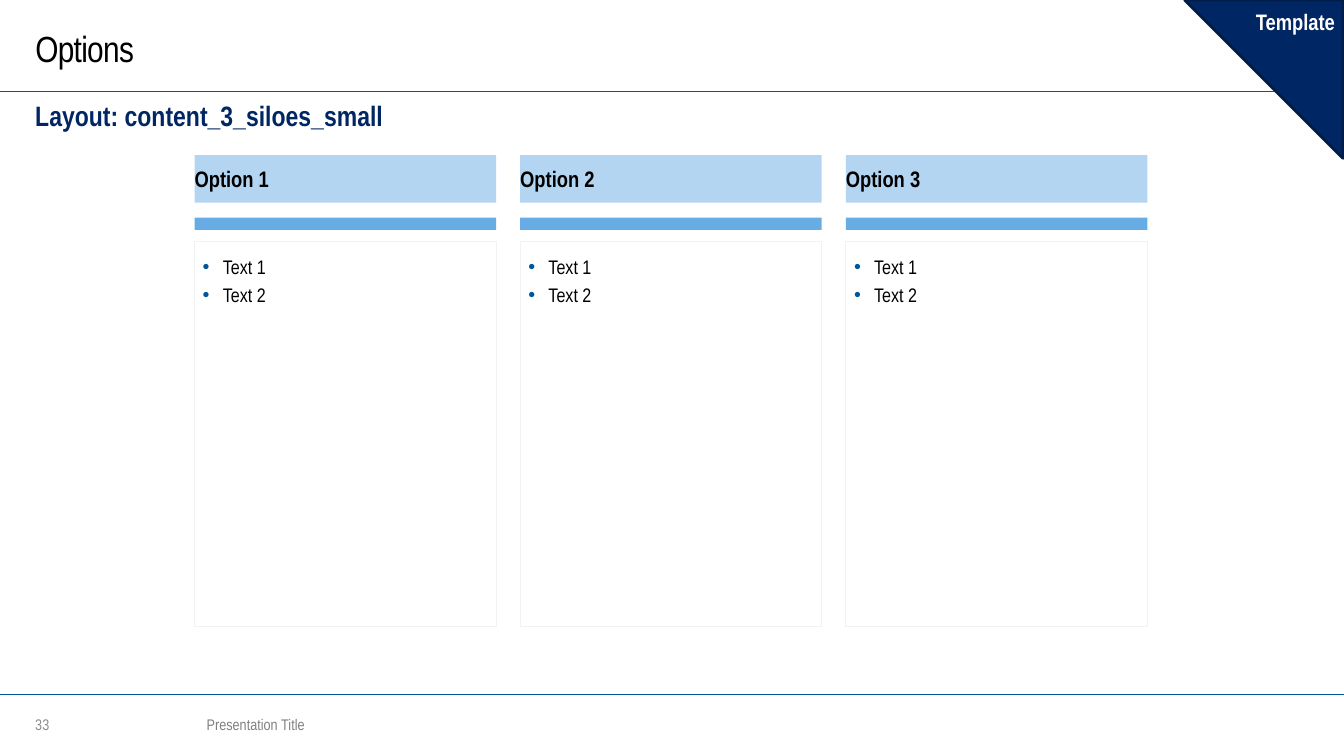
import dataclasses

import lxml.etree
import pptx
import pptx.dml.color
import pptx.enum.shapes
import pptx.enum.text
import pptx.oxml.ns
import pptx.util

Inches = pptx.util.Inches
Shapes = pptx.enum.shapes.MSO_SHAPE
Anchor = pptx.enum.text.MSO_ANCHOR
Align = pptx.enum.text.PP_ALIGN
qn = pptx.oxml.ns.qn


@dataclasses.dataclass(frozen=True)
class Theme:
    font: str = "Arial Narrow"
    black: str = "000000"
    white: str = "FFFFFF"
    navy: str = "002663"
    navy_edge: str = "001C49"
    rule: str = "00559B"
    bar: str = "68ACE5"
    header: str = "B3D5F2"
    panel_edge: str = "F2F2F2"
    page_number: str = "8C8C8C"
    footer: str = "808080"
    title_size: float = 26
    subtitle_size: float = 20
    heading_size: float = 16
    body_size: float = 14
    footer_size: float = 11


def rgb(color):
    return pptx.dml.color.RGBColor.from_string(color)


class SlideBuilder:
    def __init__(self, slide, theme):
        self.slide = slide
        self.theme = theme

    def rule(self, top, width):
        connector = self.slide.shapes.add_connector(
            pptx.enum.shapes.MSO_CONNECTOR.STRAIGHT,
            Inches(0), Inches(top), Inches(width), Inches(top))
        connector.line.color.rgb = rgb(self.theme.rule)
        connector.line.width = pptx.util.Pt(1)
        properties = connector._element.find(qn("p:spPr"))
        lxml.etree.SubElement(properties, qn("a:effectLst"))

    def box(self, place, fill=None, edge=None, edge_width=0.75, kind=Shapes.RECTANGLE):
        shape = self.slide.shapes.add_shape(kind, *map(Inches, place))
        shape.shadow.inherit = False
        if fill:
            shape.fill.solid()
            shape.fill.fore_color.rgb = rgb(fill)
        else:
            shape.fill.background()
        if edge:
            shape.line.color.rgb = rgb(edge)
            shape.line.width = pptx.util.Pt(edge_width)
        else:
            shape.line.fill.background()
        return shape

    def label(self, place, text, size, color, bold=False, anchor=Anchor.MIDDLE, spacing=0):
        shape = self.slide.shapes.add_textbox(*map(Inches, place))
        self.add_text(shape, [text], size, color, bold, anchor, spacing=spacing)

    def add_text(self, shape, lines, size, color, bold=False, anchor=Anchor.MIDDLE,
                 insets=(0, 0, 0, 0), align=Align.LEFT, bullets=False, spacing=0, wrap=True):
        frame = shape.text_frame
        frame.word_wrap = wrap
        frame.vertical_anchor = anchor
        (frame.margin_left, frame.margin_top,
         frame.margin_right, frame.margin_bottom) = map(Inches, insets)
        for index, line in enumerate(lines):
            paragraph = frame.add_paragraph() if index else frame.paragraphs[0]
            paragraph.alignment = align
            if bullets:
                self.bullet(paragraph)
            run = paragraph.add_run()
            run.text = line
            run.font.name = self.theme.font
            run.font.size = pptx.util.Pt(size)
            run.font.bold = bold
            run.font.color.rgb = rgb(color)
            if spacing:
                run._r.get_or_add_rPr().set("spc", str(int(spacing * 100)))

    def bullet(self, paragraph):
        paragraph.line_spacing = 1.2
        properties = paragraph._p.get_or_add_pPr()
        properties.set("marL", str(Inches(0.2)))
        properties.set("indent", str(Inches(-0.2)))
        bullet_color = lxml.etree.SubElement(properties, qn("a:buClr"))
        lxml.etree.SubElement(bullet_color, qn("a:srgbClr"), val=self.theme.rule)
        lxml.etree.SubElement(properties, qn("a:buFont"), typeface="Arial")
        lxml.etree.SubElement(properties, qn("a:buChar"), char="•")

    def silo(self, left, heading, items):
        theme, width = self.theme, 2.99
        self.box((left, 2.16, width, 0.12), fill=theme.bar)
        panel = self.box((left, 2.4, width, 3.82), edge=theme.panel_edge)
        self.add_text(panel, items, theme.body_size, theme.black, anchor=Anchor.TOP,
                      insets=(0.08, 0.08, 0, 0), bullets=True)
        header = self.box((left, 1.54, width, 0.47), fill=theme.header)
        self.add_text(header, [heading], theme.heading_size, theme.black, bold=True)

    def corner(self, place, text):
        theme = self.theme
        shape = self.box(place, theme.navy, theme.navy_edge, 2, Shapes.ISOSCELES_TRIANGLE)
        shape.adjustments[0] = 1.0
        shape.rotation = 270
        self.add_text(shape, [text], theme.heading_size, theme.white, bold=True,
                      anchor=Anchor.TOP, insets=(0.08,) * 4, align=Align.RIGHT, wrap=False)
        # Vertical text cancels the rotation, so the word reads level
        shape.text_frame._txBody.find(qn("a:bodyPr")).set("vert", "vert")


def main():
    theme = Theme()
    presentation = pptx.Presentation()
    presentation.slide_width = Inches(13.33)
    presentation.slide_height = Inches(7.5)
    slide = presentation.slides.add_slide(presentation.slide_layouts[6])
    builder = SlideBuilder(slide, theme)

    # Rules above the footer and below the title
    for top in (6.89, 0.91):
        builder.rule(top, 13.33)

    # Title, subtitle and footer
    builder.label((0.35, 0.04, 9.72, 0.87), "Options",
                  theme.title_size, theme.black, spacing=-0.5)
    builder.label((0.35, 0.98, 12.6, 0.34), "Layout: content_3_siloes_small",
                  theme.subtitle_size, theme.navy, bold=True, anchor=Anchor.TOP)
    builder.label((0.35, 7.05, 0.37, 0.28), "33", theme.footer_size, theme.page_number)
    builder.label((2.05, 7.05, 6.82, 0.28), "Presentation Title",
                  theme.footer_size, theme.footer)

    # Three option columns
    for column in range(3):
        builder.silo(1.93 + column * 3.23, f"Option {column + 1}", ["Text 1", "Text 2"])

    # Corner flag
    builder.corner((11.75, 0, 1.57, 1.57), "Template")

    presentation.save("out.pptx")


if __name__ == "__main__":
    main()
